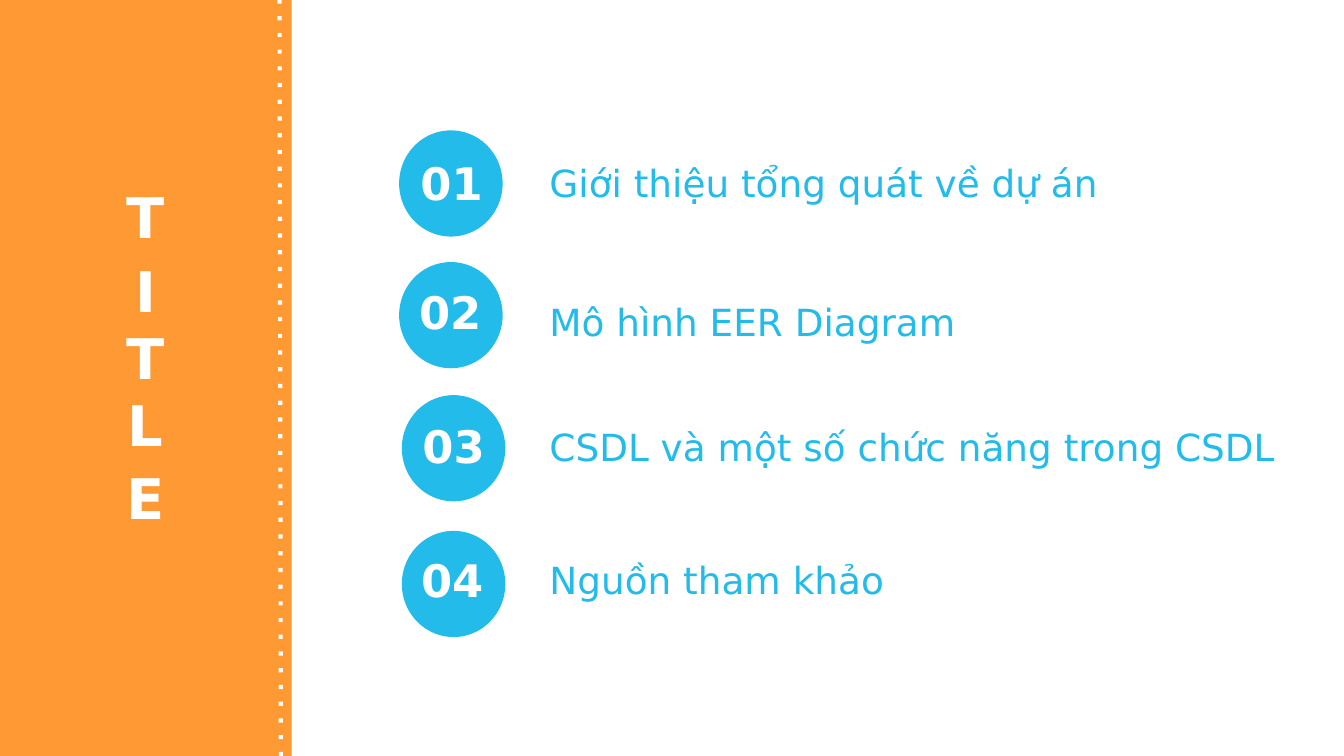
from dataclasses import dataclass

from lxml import etree
from pptx import Presentation
from pptx import util as u
from pptx.dml.color import RGBColor
from pptx.enum import shapes, text
from pptx.oxml.ns import qn


@dataclass(frozen=True)
class Theme:
    font: str = "DejaVu Sans"
    orange: str = "FF9933"
    blue: str = "22BBEA"
    white: str = "FFFFFF"
    title_size: int = 30
    number_size: int = 24
    topic_size: int = 20


THEME = Theme()
TITLE_FORMAT = {"name": THEME.font, "size": u.Pt(THEME.title_size), "bold": True}
NUMBER_FORMAT = {"name": THEME.font, "size": u.Pt(THEME.number_size), "bold": True}
TOPIC_FORMAT = {"name": THEME.font, "size": u.Pt(THEME.topic_size), "bold": False}

# Widescreen page, 16:9
PAGE_WIDTH = 10
PAGE_HEIGHT = PAGE_WIDTH * 9 / 16

# Topic, circle left and top, label offset and width, topic top
AGENDA = [
    ("Giới thiệu tổng quát về dự án", 2.97, 0.97, (0.05, 0.2, 0.68), 1.14),
    ("Mô hình EER Diagram", 2.97, 1.95, (0.03, 0.18, 0.7), 2.18),
    ("CSDL và một số chức năng trong CSDL", 2.99, 2.94, (-0.03, 0.19, 0.83), 3.11),
    ("Nguồn tham khảo", 2.99, 3.95, (-0.01, 0.18, 0.77), 4.1),
]


def inches(*lengths):
    return [u.Inches(length) for length in lengths]


def add_solid(parent, kind, box, color):
    shape = parent.add_shape(kind, *inches(*box))
    shape.shadow.inherit = False
    shape.fill.solid()
    shape.fill.fore_color.rgb = RGBColor.from_string(color)
    shape.line.fill.background()
    return shape


def write(shape, lines, values, color, align, anchor):
    frame = shape.text_frame
    frame.word_wrap = True
    frame.auto_size = text.MSO_AUTO_SIZE.NONE
    frame.vertical_anchor = anchor
    for index, line in enumerate(lines):
        para = frame.add_paragraph() if index else frame.paragraphs[0]
        para.text = line
        para.alignment = align
        para.space_before = u.Pt(3.2 if index else 0)
        for span in para.runs:
            for name, value in values.items():
                setattr(span.font, name, value)
            span.font.color.rgb = RGBColor.from_string(color)


def add_title_panel(page, box):
    left, top, width, height = box
    panel = add_solid(page.shapes, shapes.MSO_SHAPE.RECTANGLE, box, THEME.orange)

    # Stacked title, lifted above the panel
    title = page.shapes.title
    title.left, title.top, title.width, title.height = inches(
        left + 0.08, top + 2.42, 2.01, 0.47)
    panel.element.addnext(title.element)
    write(title, ["T", "I\vT\vL", "E"], TITLE_FORMAT, THEME.white,
          text.PP_ALIGN.CENTER, text.MSO_ANCHOR.MIDDLE)

    # Dotted seam near the right edge
    seam = page.shapes.add_connector(
        shapes.MSO_CONNECTOR.STRAIGHT,
        *inches(left + 2.09, top + height, left + 2.08, top))
    seam.line.color.rgb = RGBColor.from_string(THEME.white)
    seam.line.width = u.Pt(2.25)
    properties = seam.element.spPr
    etree.SubElement(properties.find(qn("a:ln")), qn("a:prstDash"), val="dot")
    etree.SubElement(properties, qn("a:effectLst"))


def add_number(page, number, box, label_offset):
    left, top, width, height = box
    dx, dy, label_width = label_offset
    badge = page.shapes.add_group_shape()
    add_solid(badge.shapes, shapes.MSO_SHAPE.OVAL, box, THEME.blue)
    label = badge.shapes.add_textbox(*inches(left + dx, top + dy, label_width, 0.37))
    write(label, [f"{number:02}"], NUMBER_FORMAT, THEME.white,
          text.PP_ALIGN.CENTER, text.MSO_ANCHOR.MIDDLE)


def add_topic(page, topic, box):
    caption = page.shapes.add_textbox(*inches(*box))
    write(caption, [topic], TOPIC_FORMAT, THEME.blue,
          text.PP_ALIGN.LEFT, text.MSO_ANCHOR.TOP)


def main():
    deck = Presentation()
    deck.slide_width, deck.slide_height = inches(PAGE_WIDTH, PAGE_HEIGHT)
    page = deck.slides.add_slide(deck.slide_layouts[5])

    add_title_panel(page, (0, 0, 2.17, PAGE_HEIGHT))

    # Numbered agenda
    for number, (topic, left, top, offset, topic_top) in enumerate(AGENDA, 1):
        add_number(page, number, (left, top, 0.77, 0.79), offset)
        add_topic(page, topic, (3.99, topic_top, 5.76, 0.44))

    deck.save("out.pptx")


if __name__ == "__main__":
    main()
